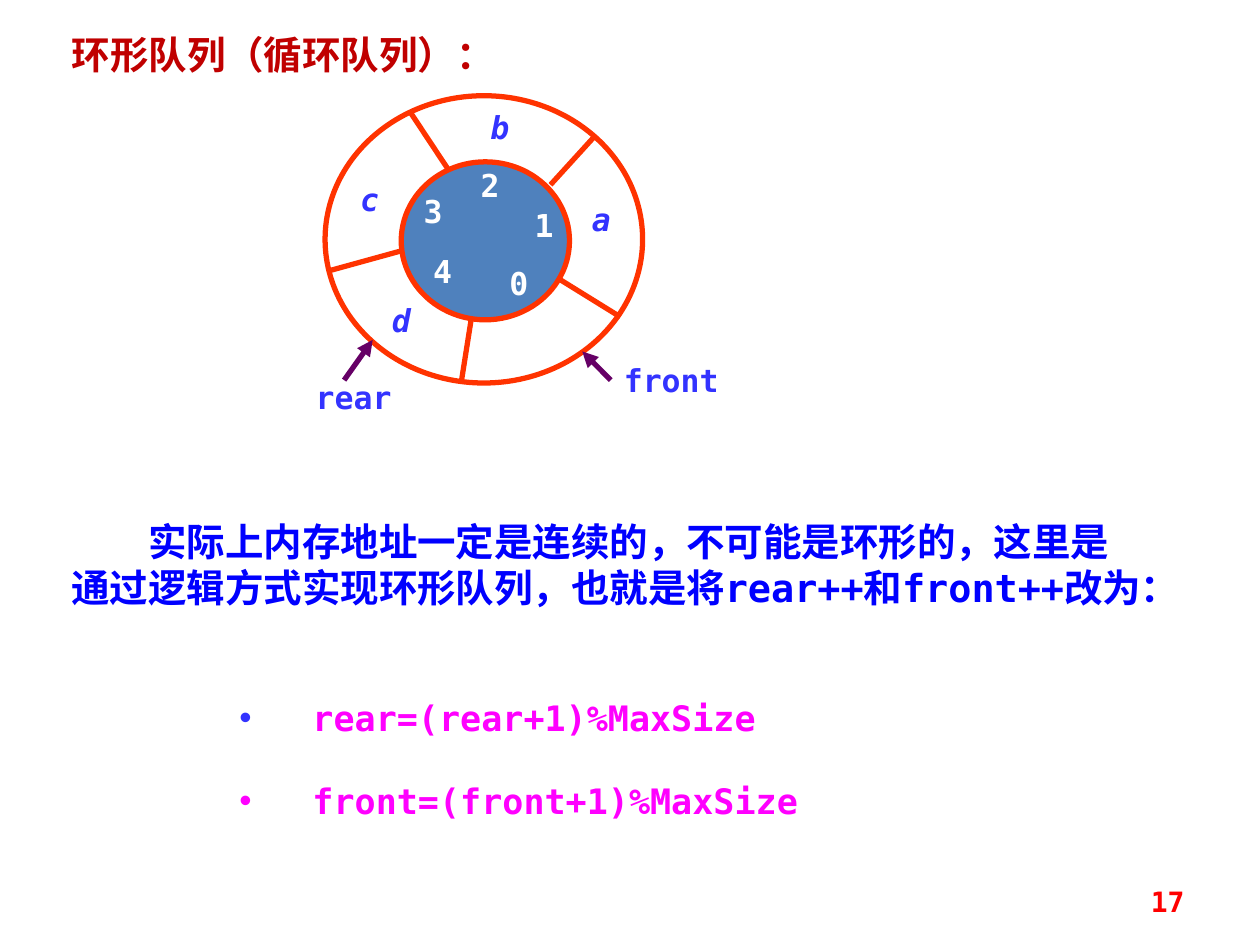
from pptx import Presentation
from pptx.dml.color import RGBColor
from pptx.enum.shapes import MSO_CONNECTOR as Link, MSO_SHAPE as Shape
from pptx.enum.text import MSO_ANCHOR as Anchor, MSO_AUTO_SIZE as Fit, PP_ALIGN as Align
from pptx.oxml.ns import qn
from pptx.util import Inches, Pt
from lxml.etree import SubElement

FONT = "DejaVu Sans Mono"
COLORS = {
    "title": "C00000", "body": "0000FF", "code": "FF00FF", "label": "3333FF",
    "index": "FFFFFF", "ring": "FF3300", "core": "4F81BD", "arrow": "660066",
    "number": "FF0000",
}


def color(name):
    return RGBColor.from_string(COLORS[name])


def place(shape, box):
    shape.left, shape.top, shape.width, shape.height = (Inches(v) for v in box)


def write(para, text, *, size, ink, italic=False, align=Align.LEFT, before=0, spacing=None):
    """Set one paragraph's text and format."""
    para.alignment = align
    para.space_before = Pt(before)
    para.line_spacing = spacing
    span = para.add_run()
    span.text = text
    font = span.font
    font.name, font.size, font.bold, font.italic = FONT, Pt(size), True, italic
    font.color.rgb = color(ink)
    SubElement(span.font._element, qn("a:ea"), typeface=FONT)


def set_frame(shape, anchor=Anchor.TOP, margin=None):
    frame = shape.text_frame
    frame.word_wrap = True
    frame.auto_size = Fit.NONE
    frame.vertical_anchor = anchor
    if margin is not None:
        frame.margin_left = frame.margin_right = Inches(margin)
        frame.margin_top = frame.margin_bottom = Inches(margin)
    return frame


def add_text(shapes, text, box, *, anchor=Anchor.TOP, margin=None, **style):
    shape = shapes.add_textbox(*(Inches(v) for v in box))
    para = set_frame(shape, anchor, margin).paragraphs[0]
    write(para, text, **style)
    return para


def indent(para, first, left=0):
    props = para._p.get_or_add_pPr()
    props.set("marL", str(Inches(left)))
    props.set("indent", str(Inches(first)))
    return props


def add_ring(page, box):
    """Ring of five cells; every position is a share of the ring's box."""
    left, top, width, height = box
    shapes = page.shapes.add_group_shape().shapes

    def spot(x, y):
        return left + x * width, top + y * height

    def ellipse(x, y, wide, high, fill=None):
        shape = shapes.add_shape(Shape.OVAL, *(Inches(v) for v in (
            *spot(x, y), wide * width, high * height)))
        shape.shadow.inherit = False
        shape.line.color.rgb, shape.line.width = color("ring"), Pt(3)
        if fill:
            shape.fill.solid()
            shape.fill.fore_color.rgb = color(fill)
        else:
            shape.fill.background()

    def link(start, end, ink, arrow=False):
        line = shapes.add_connector(
            Link.STRAIGHT, *(Inches(v) for v in spot(*start) + spot(*end)))
        line.line.color.rgb, line.line.width = color(ink), Pt(3)
        if arrow:
            SubElement(line.line._get_or_add_ln(), qn("a:tailEnd"), type="triangle")
        SubElement(line._element.spPr, qn("a:effectLst"))

    def label(text, x, y, ink, wide=0.31, italic=False):
        middle, centre = spot(x, y)
        add_text(shapes, text, (middle - wide / 2, centre - 0.15, wide, 0.3),
                 margin=0, size=18, ink=ink, italic=italic, align=Align.CENTER)

    ellipse(0.24, 0.23, 0.53, 0.55, "core")
    ellipse(0, 0, 1, 1)

    # Cell borders, from the inner to the outer circle
    for inner, outer in (
        ((0.74, 0.64), (0.93, 0.77)), ((0.71, 0.31), (0.85, 0.14)),
        ((0.39, 0.26), (0.27, 0.06)), ((0.24, 0.54), (0.01, 0.61)),
        ((0.46, 0.78), (0.43, 0.99)),
    ):
        link(inner, outer, "ring")

    # Cell indexes and stored elements
    for text, x, y in (("0", 0.61, 0.65), ("1", 0.69, 0.45), ("2", 0.52, 0.31),
                       ("3", 0.34, 0.4), ("4", 0.37, 0.61)):
        label(text, x, y, "index")
    for text, x, y in (("a", 0.87, 0.43), ("b", 0.55, 0.11),
                       ("c", 0.14, 0.36), ("d", 0.24, 0.78)):
        label(text, x, y, "label", italic=True)

    # Queue pointers
    for text, x, y, start, end in (
        ("front", 1.09, 0.99, (0.9, 0.99), (0.81, 0.89)),
        ("rear", 0.09, 1.05, (0.06, 0.99), (0.15, 0.85)),
    ):
        link(start, end, "arrow", arrow=True)
        label(text, x, y, "label", wide=0.79)


def add_title(page, text, box):
    title = page.shapes.title
    place(title, box)
    write(set_frame(title).paragraphs[0], text, size=22, ink="title")


def add_formulas(page, formulas, box):
    """Bulleted list in the body placeholder."""
    body = page.placeholders[1]
    place(body, box)
    frame = set_frame(body)
    for number, (text, bullet_ink) in enumerate(formulas):
        para = frame.add_paragraph() if number else frame.paragraphs[0]
        write(para, text, size=20, ink="code", before=11.5 if number else 0, spacing=1.5)
        props = indent(para, -0.58, left=0.58)
        tint = SubElement(props, qn("a:buClr"))
        SubElement(tint, qn("a:srgbClr"), val=COLORS[bullet_ink])
        SubElement(props, qn("a:buFont"), typeface="Arial")
        SubElement(props, qn("a:buChar"), char="•")


def main():
    deck = Presentation()
    deck.slide_width, deck.slide_height = Inches(10), Inches(7.5)
    page = deck.slides.add_slide(deck.slide_layouts[1])

    add_title(page, "环形队列（循环队列）：", (0.47, 0.2, 4.02, 0.47))
    add_ring(page, (2.58, 0.76, 2.52, 2.28))
    note = add_text(
        page.shapes,
        "实际上内存地址一定是连续的，不可能是环形的，这里是通过逻辑方式实现环形队列，"
        "也就是将rear++和front++改为：",
        (0.47, 4.06, 8.7, 0.84), size=22, ink="body")
    indent(note, 0.61)
    add_formulas(page, (("rear=(rear+1)%MaxSize", "label"),
                        ("front=(front+1)%MaxSize", "code")), (1.8, 5.31, 5.31, 1.28))
    add_text(page.shapes, "17", (7.17, 6.95, 2.33, 0.4), anchor=Anchor.MIDDLE,
             size=16, ink="number", align=Align.RIGHT)
    deck.save("out.pptx")


if __name__ == "__main__":
    main()
